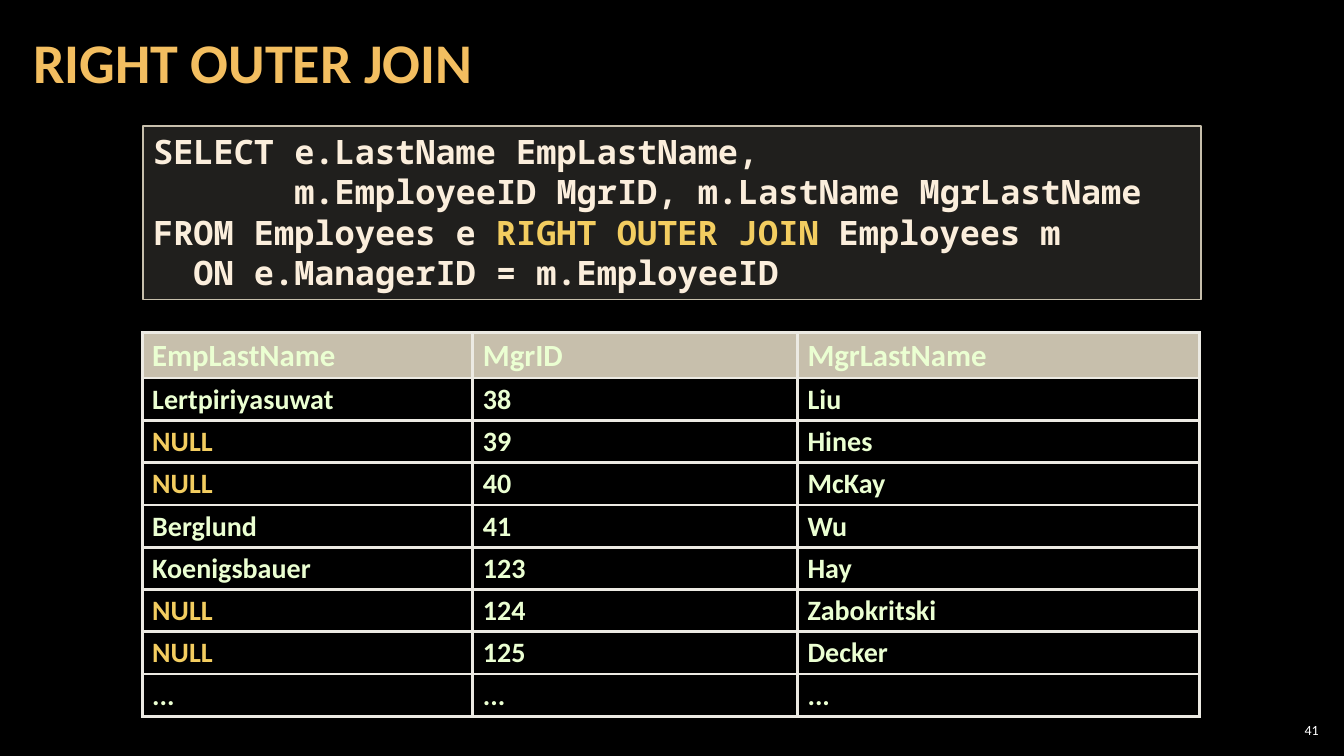
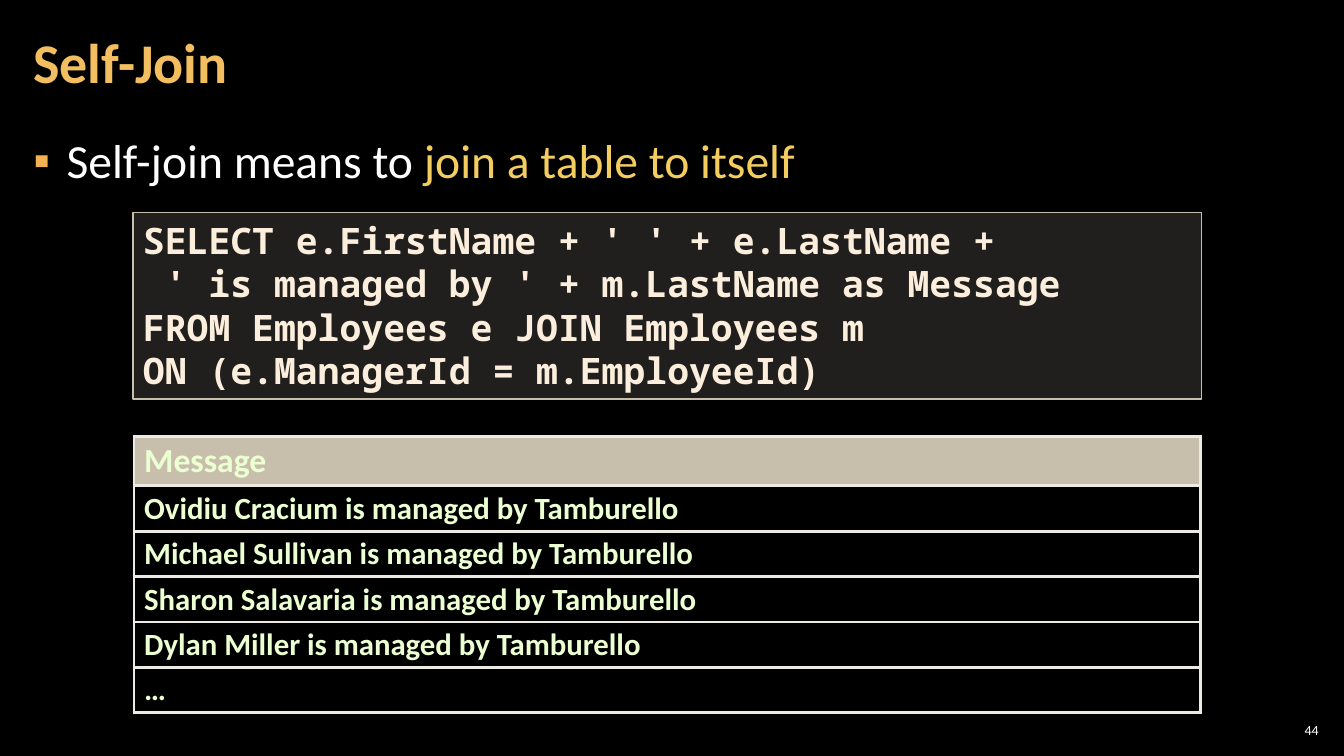
from dataclasses import dataclass

from lxml.etree import SubElement as Sub
from pptx import Presentation
from pptx.dml.color import RGBColor as RGB
from pptx.enum.shapes import MSO_SHAPE as Shape
from pptx.enum.text import MSO_ANCHOR as Anchor
from pptx.enum.text import MSO_AUTO_SIZE as Fit
from pptx.enum.text import PP_ALIGN as Align
from pptx.oxml.ns import qn
from pptx.util import Inches, Pt

BLACK = RGB(0x00, 0x00, 0x00)
WHITE = RGB(0xFF, 0xFF, 0xFF)
GOLD = RGB(0xF3, 0xBE, 0x60)
ACCENT = RGB(0xF3, 0xCD, 0x60)
BULLET = RGB(0xF2, 0xB2, 0x54)
CREAM = RGB(0xFB, 0xEE, 0xDC)
MINT = RGB(0xEB, 0xFF, 0xD2)
PANEL = RGB(0xD9, 0xD5, 0xC7)
SAND = RGB(0xC7, 0xBF, 0xAC)
RULE = RGB(0xEC, 0xEA, 0xE3)

SANS = "Calibri"
MONO = "Noto Sans Mono"


@dataclass
class Box:
    left: float
    top: float
    width: float
    height: float

    def size(self) -> tuple:
        return tuple(map(Inches, (self.left, self.top, self.width, self.height)))


@dataclass
class Code:
    box: Box
    size: int
    text: str


@dataclass
class Grid:
    left: float
    top: float
    cols: list
    head: float  # height of the header row
    row: float   # height of the other rows
    size: int    # text size of the other rows
    data: list


TITLE = Box(0.21, 0.04, 10.47, 1.21)
BODY = Box(0.21, 1.26, 12.91, 6.09)
NUMBER = Box(12.65, 7.14, 0.47, 0.21)


def write(frame, text: str, size: int, color: RGB, font: str = SANS,
          bold: bool = False, align=Align.LEFT, line: float = 1.0) -> None:
    """Write one paragraph per line; text between bars takes the accent colour."""
    for i, part in enumerate(text.split("\n")):
        para = frame.add_paragraph() if i else frame.paragraphs[0]
        para.alignment, para.line_spacing = align, line
        para.space_before = Pt(0)
        for j, piece in enumerate(part.split("|")):
            if piece:
                run = para.add_run()
                run.text = piece
                look = run.font
                look.name, look.size, look.bold = font, Pt(size), bold
                look.color.rgb = ACCENT if j % 2 else color


def setup(frame, side: float, edge: float, anchor) -> None:
    frame.word_wrap, frame.auto_size = True, Fit.NONE
    frame.margin_left = frame.margin_right = Inches(side)
    frame.margin_top = frame.margin_bottom = Inches(edge)
    frame.vertical_anchor = anchor


def place(shape, box: Box) -> None:
    shape.left, shape.top, shape.width, shape.height = box.size()


def tint(fill, color: RGB, alpha: int) -> None:
    """Fill with a colour at the given opacity in percent."""
    fill.solid()
    fill.fore_color.rgb = color
    node = fill._xPr.find(".//" + qn("a:srgbClr"))
    Sub(node, qn("a:alpha"), val=str(alpha * 1000))


def border(cell) -> None:
    props = cell._tc.get_or_add_tcPr()
    for side in "LRTB":
        line = Sub(props, qn("a:ln" + side), w=str(Pt(2.25)))
        Sub(Sub(line, qn("a:solidFill")), qn("a:srgbClr"), val=str(RULE))


def add_page(deck, layout: int, title: str, number: int):
    """Add a slide with its title and number."""
    page = deck.slides.add_slide(deck.slide_layouts[layout])
    head = page.shapes.title
    place(head, TITLE)
    setup(head.text_frame, 0.12, 0.04, Anchor.MIDDLE)
    write(head.text_frame, title, 40, GOLD, bold=True, line=0.9)
    foot = page.shapes.add_textbox(*NUMBER.size()).text_frame
    setup(foot, 0.04, 0.04, Anchor.MIDDLE)
    write(foot, str(number), 10, WHITE, align=Align.RIGHT)
    return page


def add_point(page, text: str) -> None:
    body = page.placeholders[1]
    place(body, BODY)
    frame = body.text_frame
    setup(frame, 0.12, 0.04, Anchor.TOP)
    props = frame.paragraphs[0]._p.get_or_add_pPr()
    props.set("marL", str(Inches(0.33)))
    props.set("indent", str(-Inches(0.33)))
    Sub(Sub(props, qn("a:buClr")), qn("a:srgbClr"), val=str(BULLET))
    Sub(props, qn("a:buChar"), char="▪")
    write(frame, text, 34, WHITE)
    frame.paragraphs[0].space_after = Pt(6)


def add_code(page, code: Code) -> None:
    panel = page.shapes.add_shape(Shape.RECTANGLE, *code.box.size())
    panel.shadow.inherit = False
    tint(panel.fill, PANEL, 15)
    panel.line.color.rgb, panel.line.width = SAND, Pt(1)
    setup(panel.text_frame, 0.1, 0.05, Anchor.TOP)
    panel.text_frame.auto_size = Fit.SHAPE_TO_FIT_TEXT
    write(panel.text_frame, code.text, code.size, CREAM, MONO, bold=True)


def add_grid(page, grid: Grid) -> None:
    count = len(grid.data)
    box = Box(grid.left, grid.top, sum(grid.cols), grid.head + grid.row * (count - 1))
    table = page.shapes.add_table(count, len(grid.cols), *box.size()).table
    table.horz_banding = False
    for col, width in zip(table.columns, grid.cols):
        col.width = Inches(width)
    for r, (row, texts) in enumerate(zip(table.rows, grid.data)):
        row.height = Inches(grid.row if r else grid.head)
        for cell, text in zip(row.cells, texts):
            border(cell)
            if r:
                cell.fill.background()
            else:
                tint(cell.fill, SAND, 50)
            write(cell.text_frame, text, grid.size if r else grid.size + 2,
                  MINT, bold=True, line=0.95)


def main() -> None:
    deck = Presentation()
    deck.slide_width, deck.slide_height = Inches(13.33), Inches(7.5)
    back = deck.slide_master.background.fill
    back.solid()
    back.fore_color.rgb = BLACK

    # Right outer join
    page = add_page(deck, 5, "RIGHT OUTER JOIN", 41)
    add_code(page, Code(Box(1.42, 1.25, 10.49, 1.72), 24, (
        "SELECT e.LastName EmpLastName,\n"
        "       m.EmployeeID MgrID, m.LastName MgrLastName\n"
        "FROM Employees e |RIGHT OUTER JOIN |Employees m\n"
        "  ON e.ManagerID = m.EmployeeID")))
    add_grid(page, Grid(1.41, 3.3, [3.28, 3.22, 3.99], 0.45, 0.42, 20, [
        ("EmpLastName", "MgrID", "MgrLastName"),
        ("Lertpiriyasuwat", "38", "Liu"),
        ("|NULL|", "39", "Hines"),
        ("|NULL|", "40", "McKay"),
        ("Berglund", "41", "Wu"),
        ("Koenigsbauer", "123", "Hay"),
        ("|NULL|", "124", "Zabokritski"),
        ("|NULL|", "125", "Decker"),
        ("...", "...", "..."),
    ]))

    # Self-join
    page = add_page(deck, 1, "Self-Join", 44)
    add_point(page, "Self-join means to |join a table to itself|")
    add_code(page, Code(Box(1.32, 2.11, 10.6, 1.85), 26, (
        "SELECT e.FirstName + ' ' + e.LastName +\n"
        " ' is managed by ' + m.LastName as Message\n"
        "FROM Employees e JOIN Employees m\n"
        "ON (e.ManagerId = m.EmployeeId)")))
    names = ["Ovidiu Cracium", "Michael Sullivan", "Sharon Salavaria", "Dylan Miller"]
    staff = [(f"{name} is managed by Tamburello",) for name in names]
    add_grid(page, Grid(1.33, 4.33, [10.58], 0.49, 0.45, 22,
                        [("Message",), *staff, ("…",)]))

    deck.save("out.pptx")


if __name__ == "__main__":
    main()
